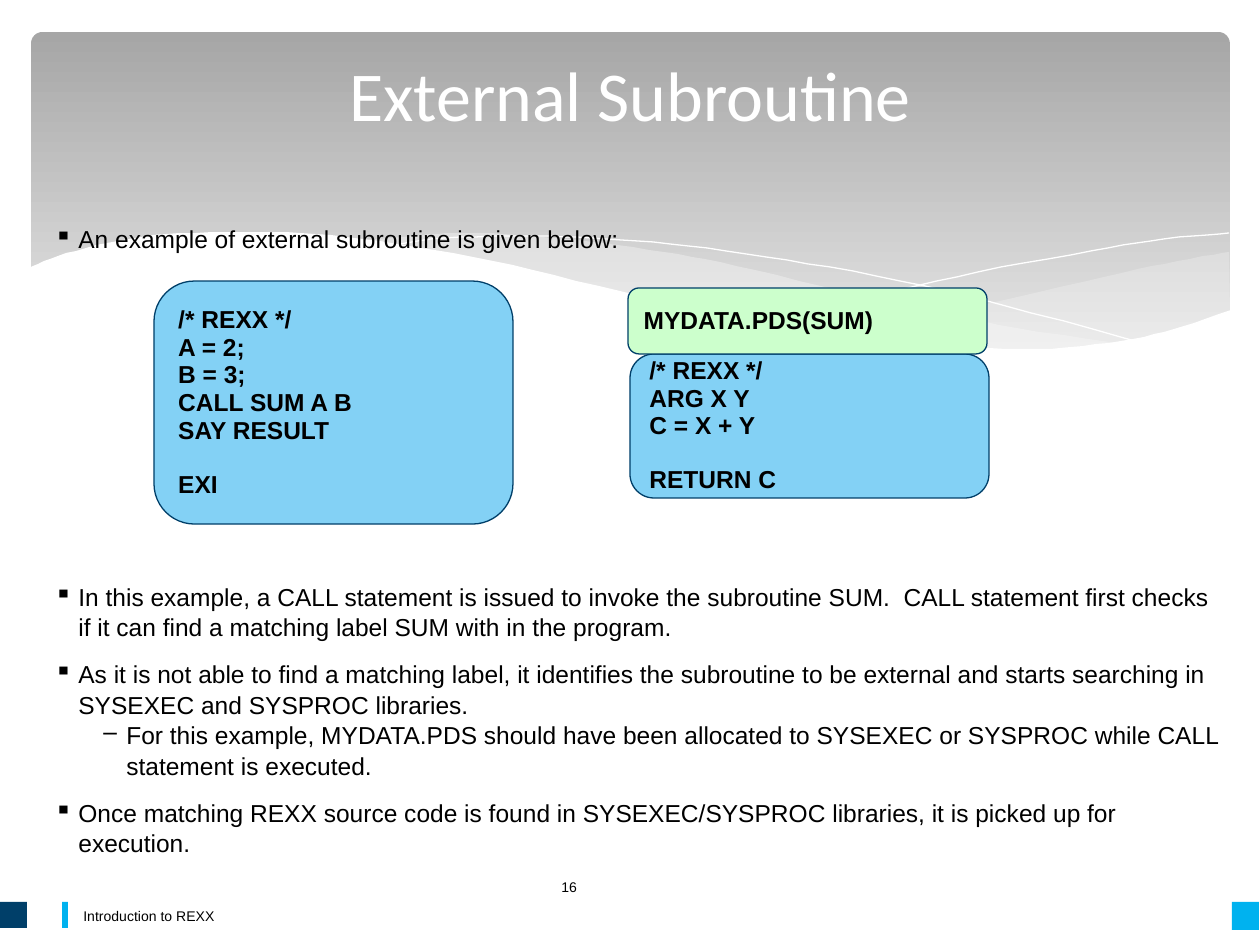
from dataclasses import dataclass

import pptx
import pptx.dml.color
import pptx.enum.shapes
import pptx.enum.text
import pptx.oxml.ns
import pptx.util
from lxml import etree

RGBColor = pptx.dml.color.RGBColor
SHAPE = pptx.enum.shapes.MSO_SHAPE
ALIGN = pptx.enum.text.PP_ALIGN
MIDDLE = pptx.enum.text.MSO_ANCHOR.MIDDLE
TOP = pptx.enum.text.MSO_ANCHOR.TOP
qn = pptx.oxml.ns.qn

EMU_PER_PX = 914400 / 126
CURVE_STEPS = 5

WHITE = RGBColor(0xFF, 0xFF, 0xFF)
BLACK = RGBColor(0x00, 0x00, 0x00)
BAND_DARK = RGBColor(0xA6, 0xA6, 0xA6)
BAND_LIGHT = RGBColor(0xEB, 0xEB, 0xEB)
WAVE_GRAY = RGBColor(0xF8, 0xF8, 0xF8)
NAVY = RGBColor(0x00, 0x3F, 0x69)
CYAN = RGBColor(0x00, 0xB2, 0xEF)
SKY = RGBColor(0x83, 0xD1, 0xF5)
MINT = RGBColor(0xCC, 0xFF, 0xCC)

BODY = {"name": "Arial", "size": pptx.util.Pt(14), "color": BLACK}
CODE = {**BODY, "bold": True}
SMALL = {**BODY, "size": pptx.util.Pt(8)}
HEADING = {"name": "Calibri", "size": pptx.util.Pt(40), "color": WHITE}
CODE_SPACING = {"line_spacing": 0.94}


@dataclass(frozen=True)
class Area:
    left: int
    top: int
    width: int
    height: int

    def emu(self) -> list[int]:
        return [px(v) for v in (self.left, self.top, self.width, self.height)]


@dataclass(frozen=True)
class Wave:
    strands: list  # each strand is a smooth curve; strands meet at corners
    fill: RGBColor | None = None
    opacity: int = 100


@dataclass(frozen=True)
class Line:
    text: str
    before: float = 0
    bullet: str = ""
    margin: int = 0
    hanging: int = 0


@dataclass(frozen=True)
class CodeBox:
    area: Area
    fill: RGBColor
    lines: list


WAVES = [
    Wave([[(1229, 252), (1178, 261), (1104, 277), (982, 305), (833, 334)],
          [(833, 334), (888, 341), (954, 348), (1012, 350), (1076, 348),
           (1140, 339), (1187, 326), (1230, 311)]], WAVE_GRAY, 29),
    Wave([[(360, 241), (413, 236), (455, 233), (503, 234), (585, 241), (664, 252),
           (736, 266), (842, 291), (934, 311), (1017, 328), (1125, 344)],
          [(1125, 344), (1080, 349), (1017, 352), (942, 348), (857, 338), (757, 321),
           (668, 302), (566, 280), (483, 261), (431, 251), (360, 241)]], WAVE_GRAY, 40),
    Wave([[(389, 246), (445, 238), (524, 236), (591, 238), (670, 244),
           (766, 257), (876, 276), (1002, 305), (1143, 343)]]),
    Wave([[(772, 324), (876, 296), (978, 272), (1091, 251), (1164, 239), (1229, 233)]]),
    Wave([[(1231, 310), (1184, 326), (1133, 339), (1071, 347), (1019, 349), (937, 345),
           (842, 334), (730, 315), (599, 286), (493, 261), (397, 244), (315, 234),
           (243, 232), (166, 234), (107, 243), (58, 256), (29, 268)],
          [(29, 415), (1231, 415)]], WHITE),
]

FOOTER_BLOCKS = [
    (Area(0, 902, 27, 26), NAVY),
    (Area(1232, 902, 27, 28), CYAN),
    (Area(62, 902, 6, 26), CYAN),
]

CODE_BOXES = [
    CodeBox(Area(154, 281, 359, 243), SKY,
            [Line("/* REXX */"), Line("A = 2;"), Line("B = 3;"), Line("CALL SUM A B"),
             Line("SAY RESULT"), Line("EXI", before=15)]),
    CodeBox(Area(630, 354, 359, 144), SKY,
            [Line("/* REXX */"), Line("ARG X Y"), Line("C = X + Y"),
             Line("RETURN C", before=15)]),
    CodeBox(Area(628, 288, 359, 66), MINT, [Line("MYDATA.PDS(SUM)")]),
]


def px(value: float) -> int:
    return round(value * EMU_PER_PX)


def point(text: str, before: float = 8.8) -> Line:
    return Line(text, before, "▪", 24, 24)


def subpoint(text: str) -> Line:
    return Line(text, 0, "–", 72, 23)


INTRO = [point("An example of external subroutine is given below:", 0)]
EXPLANATION = [
    point("In this example, a CALL statement is issued to invoke the subroutine SUM.  CALL "
          "statement first checks if it can find a matching label SUM with in the program.", 0),
    point("As it is not able to find a matching label, it identifies the subroutine to be "
          "external and starts searching in SYSEXEC and SYSPROC libraries."),
    subpoint("For this example, MYDATA.PDS should have been allocated to SYSEXEC or SYSPROC "
             "while CALL statement is executed."),
    point("Once matching REXX source code is found in SYSEXEC/SYSPROC libraries, it is "
          "picked up for execution."),
]


def smooth(knots: list) -> list:
    """Points along a Catmull-Rom curve through the knots."""
    if len(knots) < 3:
        return knots
    padded = [knots[0], *knots, knots[-1]]
    points = [knots[0]]
    for a, b, c, d in zip(padded, padded[1:], padded[2:], padded[3:]):
        for step in range(1, CURVE_STEPS + 1):
            t = step / CURVE_STEPS
            points.append(tuple(
                b[i] + 0.5 * t * (c[i] - a[i] + t * (2 * a[i] - 5 * b[i] + 4 * c[i] - d[i]
                                  + t * (3 * (b[i] - c[i]) + d[i] - a[i])))
                for i in (0, 1)))
    return points


def draw_wave(slide, wave: Wave) -> None:
    points = [spot for strand in wave.strands for spot in smooth(strand)]
    builder = slide.shapes.build_freeform(*points[0], scale=EMU_PER_PX)
    builder.add_line_segments(points[1:], close=wave.fill is not None)
    shape = builder.convert_to_shape()
    shape.shadow.inherit = False
    if wave.fill is None:
        shape.fill.background()
        shape.line.color.rgb = WHITE
        shape.line.width = 0
        return
    shape.fill.solid()
    shape.fill.fore_color.rgb = wave.fill
    shape.line.fill.background()
    if wave.opacity < 100:
        color = shape.element.spPr.find(".//" + qn("a:srgbClr"))
        etree.SubElement(color, qn("a:alpha")).set("val", str(wave.opacity * 1000))


def draw_shape(slide, kind, area: Area, fill: RGBColor, outline: RGBColor | None = None):
    shape = slide.shapes.add_shape(kind, *area.emu())
    shape.shadow.inherit = False
    shape.fill.solid()
    shape.fill.fore_color.rgb = fill
    if outline is None:
        shape.line.fill.background()
    else:
        shape.line.color.rgb = outline
        shape.line.width = pptx.util.Pt(0.75)
    return shape


def add_bullet(para, line: Line) -> None:
    properties = para._p.get_or_add_pPr()
    properties.set("marL", str(px(line.margin)))
    properties.set("indent", str(-px(line.hanging)))
    color = etree.SubElement(properties, qn("a:buClr"))
    etree.SubElement(color, qn("a:srgbClr")).set("val", str(BLACK))
    etree.SubElement(properties, qn("a:buChar")).set("char", line.bullet)


def write(shape, lines: list, font: dict, anchor=MIDDLE, wrap=True,
          align=ALIGN.LEFT, spacing: dict | None = None) -> None:
    frame = shape.text_frame
    frame.word_wrap = wrap
    frame.vertical_anchor = anchor
    for index, line in enumerate(lines):
        para = frame.add_paragraph() if index else frame.paragraphs[0]
        if line.bullet:
            add_bullet(para, line)
        settings = {"alignment": align, "space_before": pptx.util.Pt(line.before)}
        for name, value in {**settings, **(spacing or {})}.items():
            setattr(para, name, value)
        span = para.add_run()
        span.text = line.text
        for name, value in font.items():
            if name == "color":
                span.font.color.rgb = value
            else:
                setattr(span.font, name, value)


def draw_text(slide, area: Area, lines: list, font: dict, **layout) -> None:
    write(slide.shapes.add_textbox(*area.emu()), lines, font, **layout)


def main() -> None:
    deck = pptx.Presentation()
    deck.slide_width, deck.slide_height = px(1260), px(945)
    slide = deck.slides.add_slide(deck.slide_layouts[5])

    # Gradient band with waves
    band = draw_shape(slide, SHAPE.ROUNDED_RECTANGLE, Area(31, 32, 1199, 340), BAND_DARK)
    band.adjustments[0] = 0.034
    band.fill.gradient()
    band.fill.gradient_angle = 270
    for stop, position, color in zip(band.fill.gradient_stops, (0, 1), (BAND_DARK, BAND_LIGHT)):
        stop.position = position
        stop.color.rgb = color
    for wave in WAVES:
        draw_wave(slide, wave)

    # Footer
    draw_text(slide, Area(71, 899, 982, 33), [Line("Introduction to REXX")], SMALL)
    for area, color in FOOTER_BLOCKS:
        draw_shape(slide, SHAPE.RECTANGLE, area, color)
    draw_text(slide, Area(549, 862, 160, 50), [Line("16")], SMALL)

    # Title, brought in front of the band
    title = slide.shapes.title
    title.left, title.top, title.width, title.height = Area(63, 47, 1134, 93).emu()
    write(title, [Line("External Subroutine")], HEADING, align=ALIGN.CENTER)
    title.element.getparent().append(title.element)

    # Bullets above and below the code
    for area, lines in ((Area(42, 216, 1197, 44), INTRO),
                        (Area(42, 574, 1197, 284), EXPLANATION)):
        draw_text(slide, area, lines, BODY, anchor=TOP, spacing={"line_spacing": 1.05})

    # Code boxes
    for box in CODE_BOXES:
        shape = draw_shape(slide, SHAPE.FLOWCHART_ALTERNATE_PROCESS, box.area, box.fill, NAVY)
        write(shape, box.lines, CODE, wrap=False, spacing=CODE_SPACING)

    deck.save("out.pptx")


if __name__ == "__main__":
    main()
